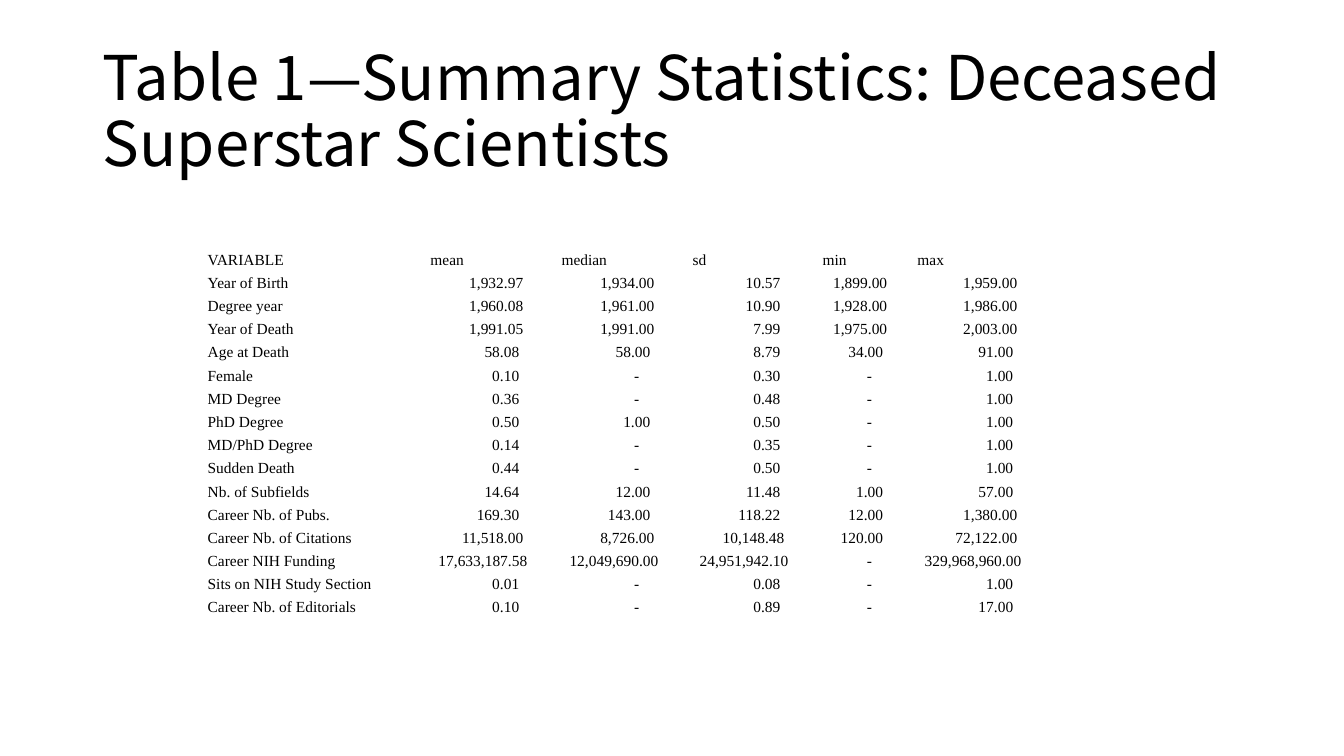
from pptx import Presentation
from pptx.dml.color import RGBColor
from pptx.enum.text import MSO_ANCHOR, MSO_AUTO_SIZE, PP_ALIGN
from pptx.util import Inches, Pt

MIDDLE = MSO_ANCHOR.MIDDLE
NO_FIT = MSO_AUTO_SIZE.NONE
LEFT, RIGHT = PP_ALIGN.LEFT, PP_ALIGN.RIGHT

BLACK = RGBColor(0x00, 0x00, 0x00)
TITLE_FONT = "Noto Sans CJK SC"
TABLE_FONT = "Times New Roman"
TITLE_ONLY = 5

# Column widths and the space to the right of the figures, in inches
COLUMN_WIDTHS = (2.21, 1.3, 1.3, 1.29, 0.94, 1.4)
RIGHT_INDENTS = (0, 0.37, 0.37, 0.37, 0.29, 0.4)
ROW_HEIGHT = 0.23
TEXT_INDENT = 0.05
COMMA_SHIFT = 0.04
DASH_SHIFT = 0.11

STATISTICS = (
    ("VARIABLE", "mean", "median", "sd", "min", "max"),
    ("Year of Birth", "1,932.97", "1,934.00", "10.57", "1,899.00", "1,959.00"),
    ("Degree year", "1,960.08", "1,961.00", "10.90", "1,928.00", "1,986.00"),
    ("Year of Death", "1,991.05", "1,991.00", "7.99", "1,975.00", "2,003.00"),
    ("Age at Death", "58.08", "58.00", "8.79", "34.00", "91.00"),
    ("Female", "0.10", "-", "0.30", "-", "1.00"),
    ("MD Degree", "0.36", "-", "0.48", "-", "1.00"),
    ("PhD Degree", "0.50", "1.00", "0.50", "-", "1.00"),
    ("MD/PhD Degree", "0.14", "-", "0.35", "-", "1.00"),
    ("Sudden Death", "0.44", "-", "0.50", "-", "1.00"),
    ("Nb. of Subfields", "14.64", "12.00", "11.48", "1.00", "57.00"),
    ("Career Nb. of Pubs.", "169.30", "143.00", "118.22", "12.00", "1,380.00"),
    ("Career Nb. of Citations", "11,518.00", "8,726.00", "10,148.48", "120.00", "72,122.00"),
    ("Career NIH Funding", "17,633,187.58", "12,049,690.00", "24,951,942.10", "-",
     "329,968,960.00"),
    ("Sits on NIH Study Section", "0.01", "-", "0.08", "-", "1.00"),
    ("Career Nb. of Editorials", "0.10", "-", "0.89", "-", "17.00"),
)


def style_paragraph(para, font_name, size, alignment):
    para.alignment = alignment
    para.font.name = font_name
    para.font.size = Pt(size)
    para.font.color.rgb = BLACK


def set_title(page, text):
    title = page.shapes.title
    title.left, title.top = Inches(0.92), Inches(0.4)
    title.width, title.height = Inches(11.5), Inches(1.45)
    frame = title.text_frame
    frame.text = text
    frame.word_wrap = True
    frame.auto_size = NO_FIT
    frame.vertical_anchor = MIDDLE
    para = frame.paragraphs[0]
    para.line_spacing = 0.9
    style_paragraph(para, TITLE_FONT, 44, LEFT)


def right_indent(text, column):
    """Keep decimal points nearly level: commas widen a figure, dashes sit further in."""
    shift = DASH_SHIFT if text == "-" else -COMMA_SHIFT * text.count(",")
    return RIGHT_INDENTS[column] + shift


def fill_cell(cell, text, column, is_figure):
    cell.text = text
    cell.fill.background()
    cell.vertical_anchor = MIDDLE
    cell.margin_top, cell.margin_bottom = Inches(0.01), 0
    cell.margin_left = Inches(0.01 if is_figure else TEXT_INDENT)
    cell.margin_right = Inches(right_indent(text, column) if is_figure else 0.01)
    style_paragraph(cell.text_frame.paragraphs[0], TABLE_FONT, 11,
                    RIGHT if is_figure else LEFT)


def add_statistics_table(page, left, top):
    frame = page.shapes.add_table(
        len(STATISTICS), len(COLUMN_WIDTHS), Inches(left), Inches(top),
        Inches(sum(COLUMN_WIDTHS)), Inches(ROW_HEIGHT * len(STATISTICS)))
    table = frame.table
    table.first_row = table.horz_banding = False
    for column, width in zip(table.columns, COLUMN_WIDTHS):
        column.width = Inches(width)
    for row, values in enumerate(STATISTICS):
        table.rows[row].height = Inches(ROW_HEIGHT)
        for column, text in enumerate(values):
            fill_cell(table.cell(row, column), text, column, row > 0 and column > 0)


def main():
    deck = Presentation()
    deck.slide_width, deck.slide_height = Inches(13.33), Inches(7.5)
    page = deck.slides.add_slide(deck.slide_layouts[TITLE_ONLY])
    set_title(page, "Table 1—Summary Statistics: Deceased Superstar Scientists")
    add_statistics_table(page, 2.01, 2.46)
    deck.save("out.pptx")


if __name__ == "__main__":
    main()
